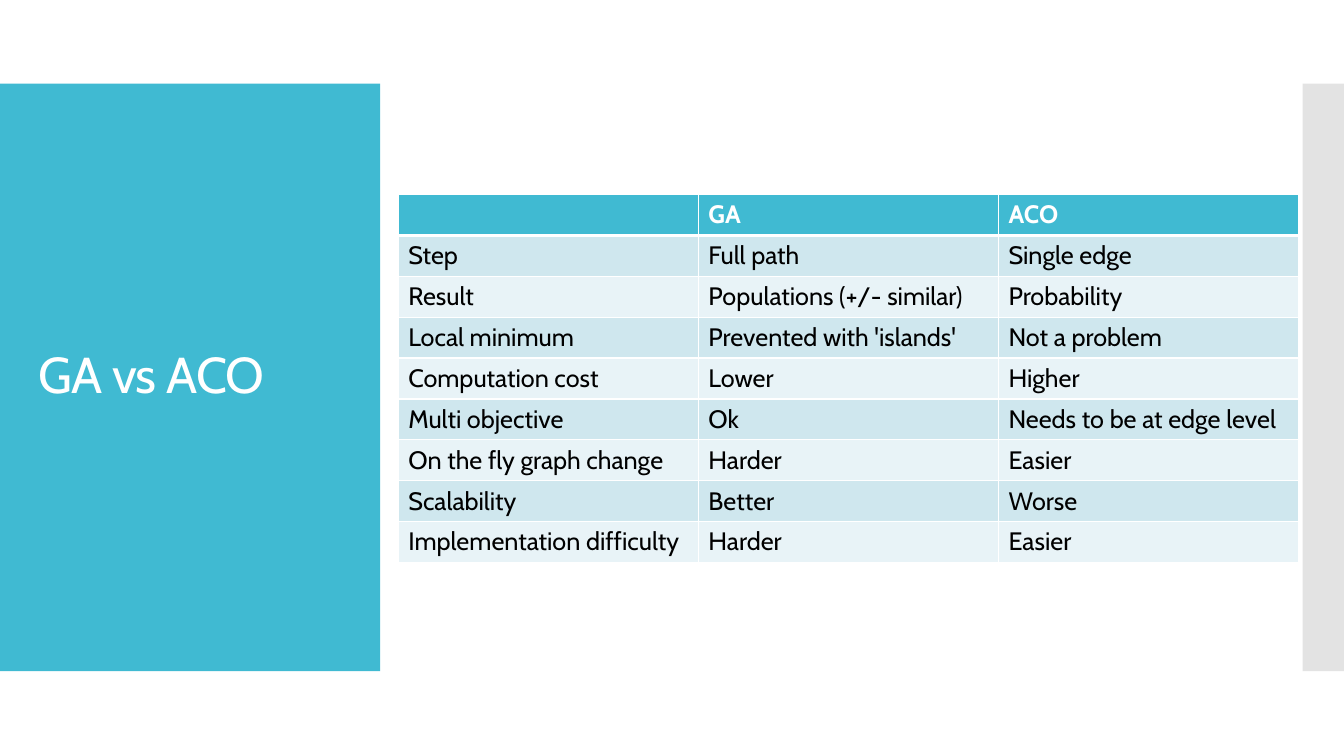
from lxml import etree
from pptx import Presentation
from pptx.dml.color import RGBColor
from pptx.enum.shapes import MSO_SHAPE
from pptx.enum.text import MSO_ANCHOR, PP_ALIGN
from pptx.oxml.ns import qn
from pptx.util import Inches, Pt

RECT = MSO_SHAPE.RECTANGLE
MIDDLE = MSO_ANCHOR.MIDDLE
LEFT = PP_ALIGN.LEFT

TEAL = RGBColor(0x40, 0xBA, 0xD2)
GREY = RGBColor(0xC8, 0xC8, 0xC8)
DARK = RGBColor(0xCF, 0xE7, 0xEE)
LIGHT = RGBColor(0xE8, 0xF3, 0xF7)
WHITE = RGBColor(0xFF, 0xFF, 0xFF)
BLACK = RGBColor(0x00, 0x00, 0x00)

ROWS = [
    ("", "GA", "ACO"),
    ("Step", "Full path", "Single edge"),
    ("Result", "Populations (+/- similar)", "Probability"),
    ("Local minimum", "Prevented with 'islands'", "Not a problem"),
    ("Computation cost", "Lower", "Higher"),
    ("Multi objective", "Ok", "Needs to be at edge level"),
    ("On the fly graph change", "Harder", "Easier"),
    ("Scalability", "Better", "Worse"),
    ("Implementation difficulty", "Harder", "Easier"),
]


class Deck:
    font = "Cabin"

    def __init__(self, show):
        self.slide = show.slides.add_slide(show.slide_layouts[5])
        self.shapes = self.slide.shapes

    def style(self, para, size, color, bold=False):
        for run in para.runs:
            font = run.font
            font.name, font.size, font.bold = self.font, Pt(size), bold
            font.color.rgb = color

    def panel(self, left, top, width, height, color, alpha=None):
        box = self.shapes.add_shape(RECT, Inches(left), Inches(top),
                                    Inches(width), Inches(height))
        box.shadow.inherit = False
        box.fill.solid()
        box.fill.fore_color.rgb = color
        box.line.fill.background()
        if alpha is not None:
            tint = box.fill._xPr.find(".//" + qn("a:srgbClr"))
            etree.SubElement(tint, qn("a:alpha"), val=str(alpha * 1000))

    def title(self, text, left, top, width, height):
        head = self.shapes.title
        # Bring the title in front of the panels
        head.element.getparent().append(head.element)
        head.left, head.top = Inches(left), Inches(top)
        head.width, head.height = Inches(width), Inches(height)
        frame = head.text_frame
        frame.text = text
        frame.word_wrap = True
        frame.vertical_anchor = MIDDLE
        para = frame.paragraphs[0]
        para.alignment = LEFT
        para.line_spacing = 0.9
        self.style(para, 36, WHITE)
        for run in para.runs:
            run.font._element.set("spc", "-60")

    def edge(self, cell, side, width):
        props = cell._tc.get_or_add_tcPr()
        line = etree.SubElement(props, qn("a:ln" + side), w=str(Pt(width)))
        fill = etree.SubElement(line, qn("a:solidFill"))
        etree.SubElement(fill, qn("a:srgbClr"), val=str(WHITE))

    def table(self, rows, left, top, width, height):
        grid = self.shapes.add_table(len(rows), len(rows[0]), Inches(left),
                                     Inches(top), Inches(width),
                                     Inches(height)).table
        for r, row in enumerate(rows):
            first = r == 0
            back = TEAL if first else DARK if r % 2 else LIGHT
            # The rule below the header is thicker
            edges = {"L": 1, "R": 1, "T": 3 if r == 1 else 1,
                     "B": 3 if first else 1}
            for c, text in enumerate(row):
                cell = grid.cell(r, c)
                for side, size in edges.items():
                    self.edge(cell, side, size)
                cell.fill.solid()
                cell.fill.fore_color.rgb = back
                if text:
                    cell.text_frame.text = text
                    self.style(cell.text_frame.paragraphs[0], 18,
                               WHITE if first else BLACK, first)


def main():
    show = Presentation()
    show.slide_width, show.slide_height = Inches(13.33), Inches(7.5)
    deck = Deck(show)

    # Side panels
    deck.panel(0, 0.83, 3.77, 5.83, TEAL)
    deck.panel(12.92, 0.83, 0.41, 5.83, GREY, 50)

    # Title and comparison
    deck.title("GA vs ACO", 0.28, 1.23, 3.22, 5.03)
    deck.table(ROWS, 3.95, 1.93, 8.93, 3.65)

    show.save("out.pptx")


if __name__ == "__main__":
    main()
